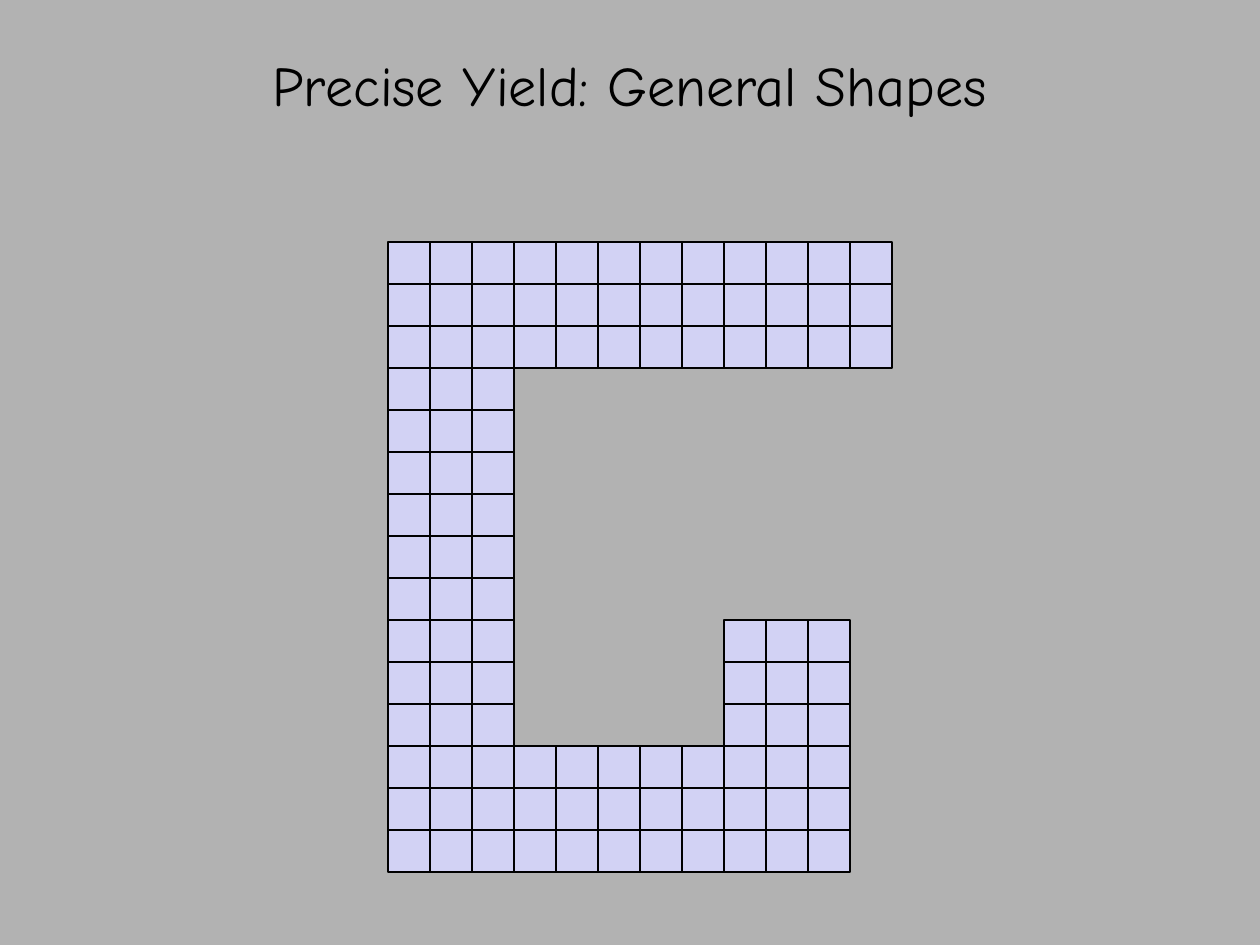
from itertools import product
from typing import NamedTuple

from pptx import Presentation
from pptx import util as u
from pptx.dml.color import RGBColor
from pptx.enum import shapes, text
from pptx.slide import Slide

HUES = {"back": "B2B2B2", "cell": "D2D2F4", "ink": "000000"}
LEFT, TOP, SIDE = 3.08, 1.92, 1 / 3


class Block(NamedTuple):
    col: int
    row: int
    cols: int
    rows: int


BLOCKS = [
    Block(col=0, row=0, cols=12, rows=3),
    Block(col=0, row=3, cols=3, rows=9),
    Block(col=8, row=9, cols=3, rows=3),
    Block(col=0, row=12, cols=11, rows=3),
]


def hue(name: str) -> RGBColor:
    return RGBColor.from_string(HUES[name])


def write(slide: Slide, words: str, *, left: float, top: float, width: float,
          height: float, size: float, font: str, ink: str) -> None:
    box = slide.shapes.add_textbox(
        u.Inches(left), u.Inches(top), u.Inches(width), u.Inches(height))
    frame = box.text_frame
    frame.word_wrap = True
    frame.vertical_anchor = text.MSO_ANCHOR.MIDDLE
    line = frame.paragraphs[0]
    line.alignment = text.PP_ALIGN.CENTER
    run = line.add_run()
    run.text = words
    run.font.size = u.Pt(size)
    run.font.name = font
    run.font.color.rgb = hue(ink)


def draw_cell(slide: Slide, col: int, row: int) -> None:
    cell = slide.shapes.add_shape(
        shapes.MSO_SHAPE.RECTANGLE,
        u.Inches(LEFT + col * SIDE), u.Inches(TOP + row * SIDE),
        u.Inches(SIDE), u.Inches(SIDE))
    cell.shadow.inherit = False
    cell.fill.solid()
    cell.fill.fore_color.rgb = hue("cell")
    cell.line.color.rgb = hue("ink")
    cell.line.width = u.Pt(0.75)


def draw_block(slide: Slide, block: Block) -> None:
    for row, col in product(range(block.rows), range(block.cols)):
        draw_cell(slide, block.col + col, block.row + row)


def main() -> None:
    deck = Presentation()
    deck.slide_width = u.Inches(10)
    deck.slide_height = u.Inches(7.5)
    slide = deck.slides.add_slide(deck.slide_layouts[6])
    slide.background.fill.solid()
    slide.background.fill.fore_color.rgb = hue("back")
    write(slide, "Precise Yield: General Shapes", left=0, top=0, width=10,
          height=1.33, size=32, font="Comic Neue", ink="ink")
    for block in BLOCKS:
        draw_block(slide, block)
    deck.save("out.pptx")


if __name__ == "__main__":
    main()
